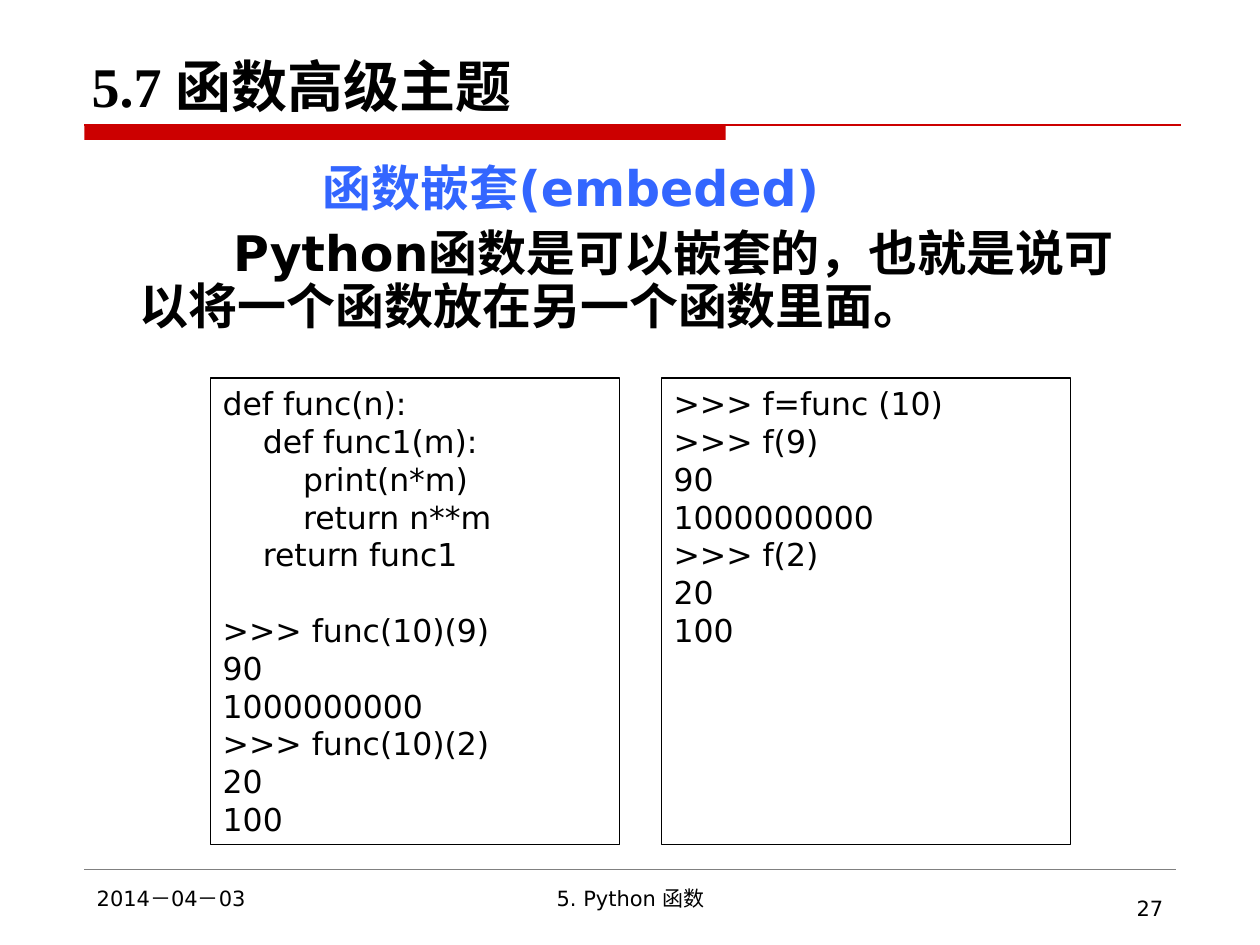
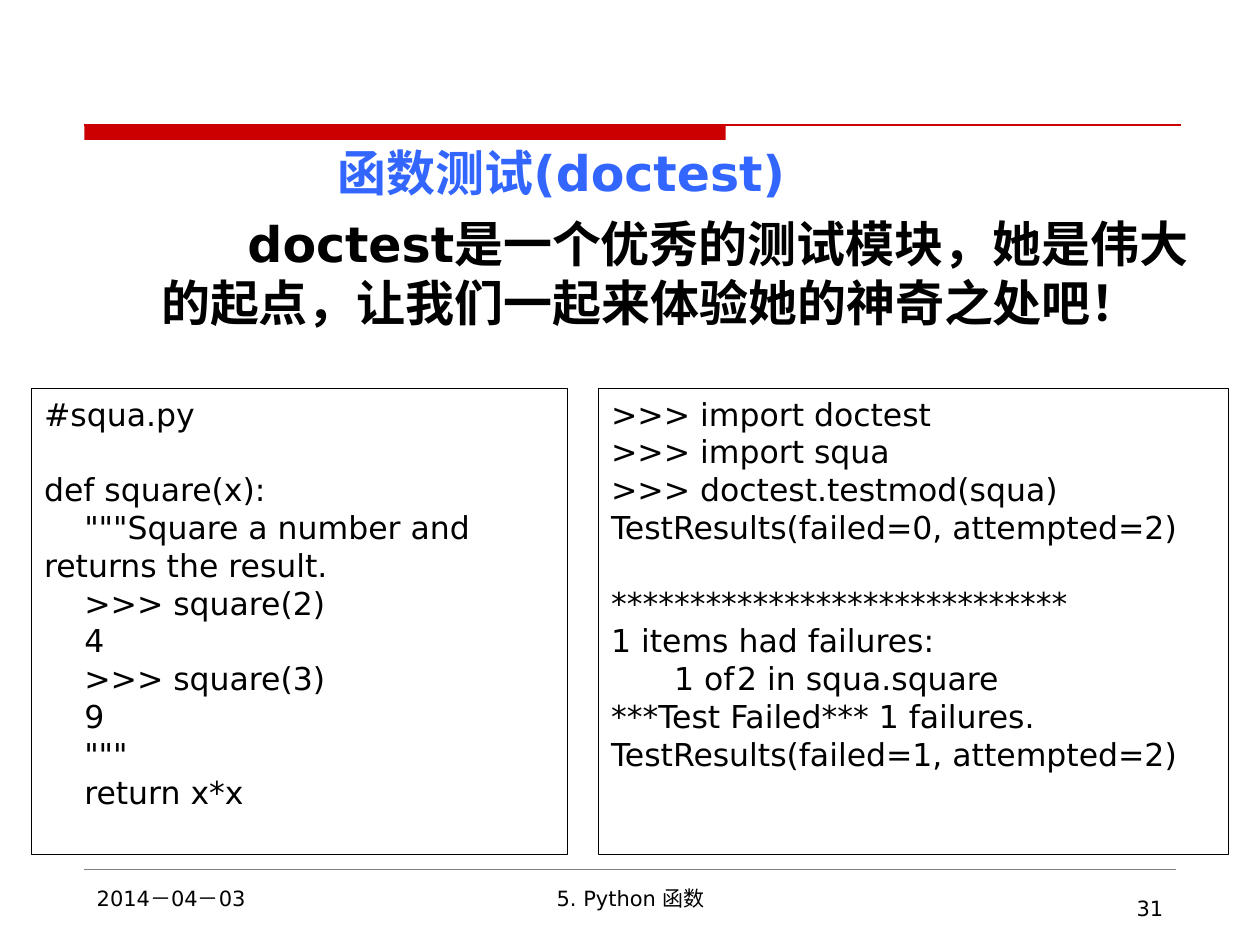
import pptx
import pptx.dml.color
import pptx.enum.shapes
import pptx.enum.text
import pptx.oxml
import pptx.oxml.ns
import pptx.util

Cm, Pt = pptx.util.Cm, pptx.util.Pt
ALIGN = pptx.enum.text.PP_ALIGN
ANCHOR = pptx.enum.text.MSO_ANCHOR

RED, GREY, BLACK, BLUE = "CC0000", "808080", "000000", "3366FF"
SANS, SERIF = "DejaVu Sans", "Times New Roman"
FOOTER = {"name": SANS, "size": Pt(12)}
TITLE = {"name": SERIF, "size": Pt(32), "bold": True}
BODY = {"name": SANS, "size": Pt(28), "bold": True}
CODE = {"name": SANS, "size": Pt(18)}

CODE_LINE = 21.6      # height of one code line, points
CODE_STEP = 0.81      # width of four spaces of code, cm
HANGING = 1.3         # left margin of body text, cm

NESTED_DEF = """def func(n):
    def func1(m):
        print(n*m)
        return n**m
    return func1

>>> func(10)(9)
90
1000000000
>>> func(10)(2)
20
100"""

NESTED_CALLS = """>>> f=func (10)
>>> f(9)
90
1000000000
>>> f(2)
20
100"""

SQUARE_MODULE = '''#squa.py

def square(x):
    """Square a number and returns the result.
    >>> square(2)
    4
    >>> square(3)
    9
    """
    return x*x'''

TEST_OUTPUT = """>>> import doctest
>>> import squa
>>> doctest.testmod(squa)
TestResults(failed=0, attempted=2)

*****************************
1 items had failures:
\t1 of\t2 in squa.square
***Test Failed*** 1 failures.
TestResults(failed=1, attempted=2)"""


def rgb(value):
    return pptx.dml.color.RGBColor.from_string(value)


def cm_box(box):
    return [Cm(v) for v in box]


def set_attrs(obj, values):
    for name, value in values.items():
        setattr(obj, name, value)


def add_run(p, text, font, color=BLACK):
    r = p.add_run()
    r.text = text
    set_attrs(r.font, font)
    r.font.color.rgb = rgb(color)


def set_indent(p, first, left=0.0):
    pPr = p._p.get_or_add_pPr()
    pPr.set("marL", str(Cm(left)))
    pPr.set("indent", str(Cm(first)))


def set_tabs(p, stops):
    tabs = "".join(f'<a:tab pos="{Cm(s)}" algn="l"/>' for s in stops)
    ns = pptx.oxml.ns.nsdecls("a")
    p._p.get_or_add_pPr().append(
        pptx.oxml.parse_xml(f"<a:tabLst {ns}>{tabs}</a:tabLst>"))


def add_text_box(slide, box, anchor=ANCHOR.TOP):
    tf = slide.shapes.add_textbox(*cm_box(box)).text_frame
    set_attrs(tf, {"word_wrap": True, "vertical_anchor": anchor})
    return tf


def add_label(slide, box, text, font, align=ALIGN.LEFT, anchor=ANCHOR.TOP):
    p = add_text_box(slide, box, anchor).paragraphs[0]
    p.alignment = align
    add_run(p, text, font)


def add_rule(slide, x, y, width, color, weight):
    sp = slide.shapes.add_connector(
        pptx.enum.shapes.MSO_CONNECTOR.STRAIGHT,
        Cm(x), Cm(y), Cm(x + width), Cm(y))
    sp.line.color.rgb = rgb(color)
    sp.line.width = Pt(weight)
    ns = pptx.oxml.ns.nsdecls("a")
    sp._element.spPr.append(pptx.oxml.parse_xml(f"<a:effectLst {ns}/>"))


def add_rect(slide, box):
    sp = slide.shapes.add_shape(
        pptx.enum.shapes.MSO_SHAPE.RECTANGLE, *cm_box(box))
    sp.shadow.inherit = False
    return sp


def add_frame(slide, number):
    # Red band under the title
    x, y = 1.7, 2.52
    band = add_rect(slide, (x, y, 12.93, 0.3))
    band.fill.solid()
    band.fill.fore_color.rgb = rgb(RED)
    band.line.fill.background()
    add_rule(slide, x, y, 22.1, RED, 0.75)
    # Footer
    add_rule(slide, x, 17.53, 22, GREY, 0.25)
    add_label(slide, (x, 17.73, 5.5, 0.94), "2014－04－03", FOOTER)
    add_label(slide, (8.69, 17.73, 8.05, 0.94), "5. Python 函数", FOOTER,
              ALIGN.CENTER)
    add_label(slide, (18.2, 17.93, 5.5, 0.74), str(number), FOOTER,
              ALIGN.RIGHT)


def add_body(slide, box, heading, text, indents, spacing):
    tf = add_text_box(slide, box)
    parts = zip((heading, text), (BLUE, BLACK), indents)
    for i, (part, color, indent) in enumerate(parts):
        p = tf.add_paragraph() if i else tf.paragraphs[0]
        set_attrs(p, {"space_before": Pt(7), "line_spacing": spacing})
        set_indent(p, indent, HANGING)
        add_run(p, part, BODY, color)


def add_code(slide, box, code):
    sp = add_rect(slide, box)
    sp.fill.background()
    sp.line.color.rgb = rgb(BLACK)
    sp.line.width = Pt(0.75)
    tf = sp.text_frame
    set_attrs(tf, {"word_wrap": True, "vertical_anchor": ANCHOR.TOP})
    p, skipped = tf.paragraphs[0], 0
    for i, line in enumerate(code.split("\n")):
        if not line:
            skipped += 1
            continue
        if i:
            p = tf.add_paragraph()
        p.alignment = ALIGN.LEFT
        p.space_before = Pt(CODE_LINE * skipped)
        skipped = 0
        text = line.lstrip(" ")
        set_indent(p, (len(line) - len(text)) / 4 * CODE_STEP)
        if "\t" in text:
            set_tabs(p, (0.61, 2.41))
        add_run(p, text, CODE)


def add_code_row(slide, x, y, gap, height, panels):
    for width, code in panels:
        add_code(slide, (x, y, width, height), code)
        x += width + gap


def add_nesting_slide(slide):
    add_frame(slide, 27)
    add_label(slide, (1.6, 0.84, 22.23, 1.68), "5.7 函数高级主题", TITLE,
              anchor=ANCHOR.BOTTOM)
    add_code_row(slide, 4.24, 7.62, 0.84, 9.4,
                 [(8.25, NESTED_DEF), (8.25, NESTED_CALLS)])
    add_body(slide, (1.27, 3.18, 22.23, 4.01), "函数嵌套(embeded)",
             "Python函数是可以嵌套的，也就是说可以将一个函数放在另一个函数里面。",
             (3.69, 1.88), 0.9)


def add_doctest_slide(slide):
    add_frame(slide, 31)
    add_body(slide, (1.7, 2.74, 22.66, 4.88), "函数测试(doctest)",
             "doctest是一个优秀的测试模块，她是伟大的起点，"
             "让我们一起来体验她的神奇之处吧！",
             (3.56, 1.74), 1.0)
    add_code_row(slide, 0.64, 7.83, 0.63, 9.4,
                 [(10.8, SQUARE_MODULE), (12.7, TEST_OUTPUT)])


def main():
    prs = pptx.Presentation()
    set_attrs(prs, {"slide_width": Cm(25.4), "slide_height": Cm(19.05)})
    for build in (add_nesting_slide, add_doctest_slide):
        build(prs.slides.add_slide(prs.slide_layouts[6]))
    prs.save("out.pptx")


if __name__ == "__main__":
    main()
